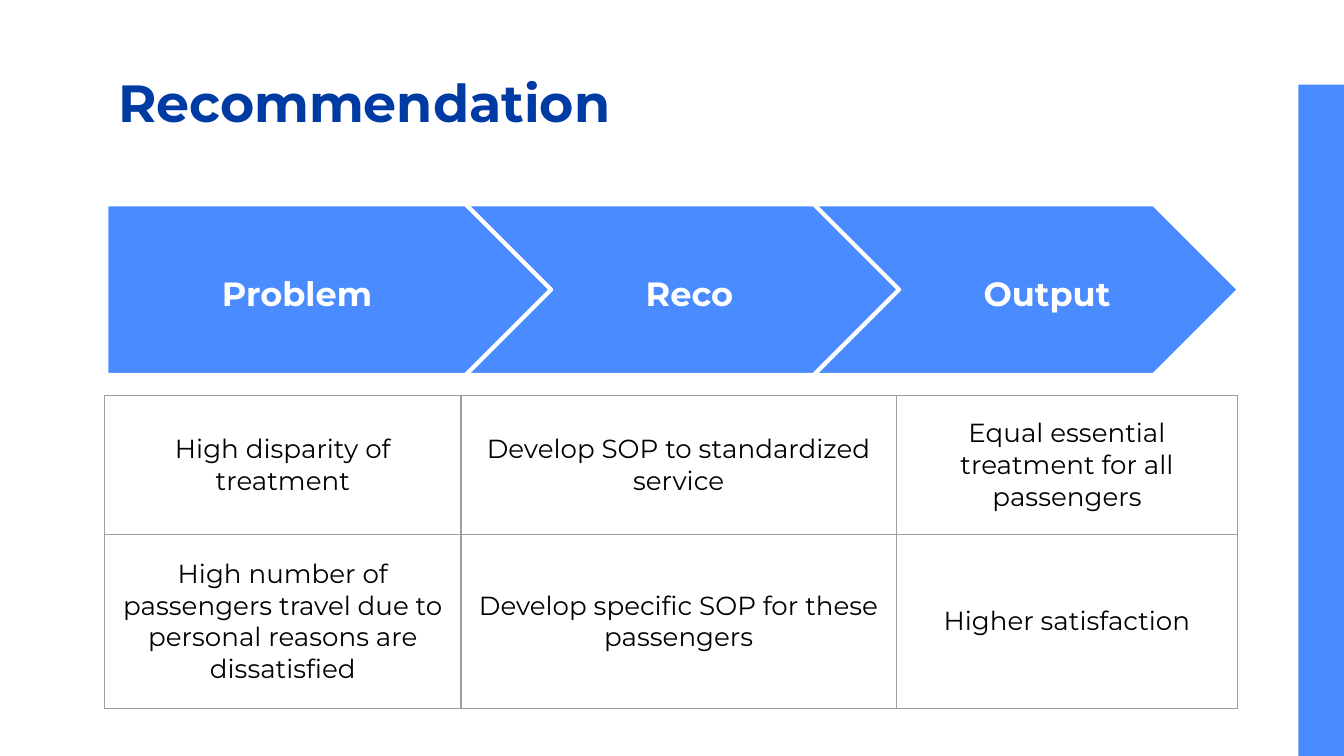
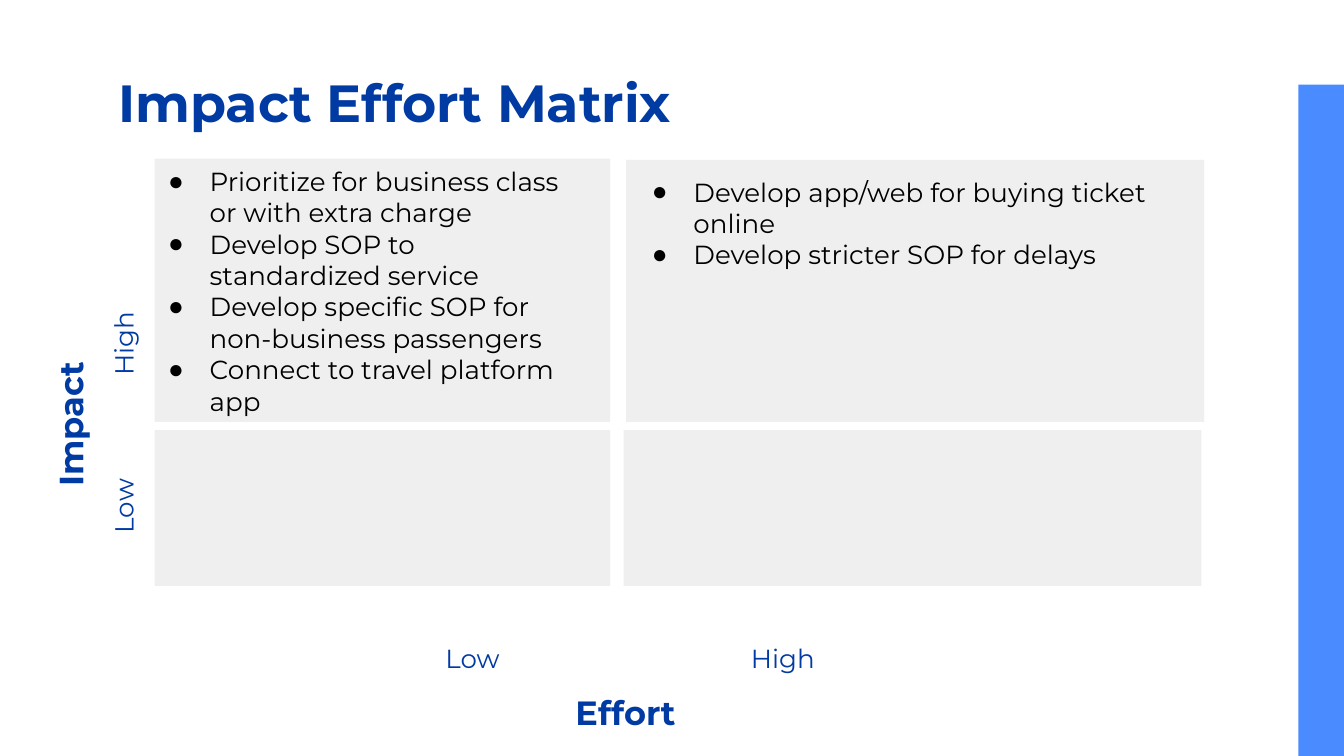
from dataclasses import dataclass
from lxml.etree import SubElement as Sub
from pptx import Presentation
from pptx.dml.color import RGBColor as Rgb
from pptx.enum.shapes import MSO_SHAPE as Form
from pptx.enum.text import MSO_ANCHOR as Anchor, MSO_AUTO_SIZE as Fit, PP_ALIGN as Align
from pptx.oxml import parse_xml
from pptx.oxml.ns import nsdecls, qn
from pptx.util import Inches, Pt


@dataclass(frozen=True)
class Theme:
    font: str = "Montserrat"
    navy: str = "003BA3"
    blue: str = "4A8CFF"
    white: str = "FFFFFF"
    black: str = "000000"
    pale: str = "EFEFEF"
    gray: str = "9E9E9E"
    title: int = 28
    head: int = 18
    text: int = 14
    gap: int = 16
    edge: float = 2.25
    rule: float = 0.75


look = Theme()
deck = Presentation()
deck.slide_width, deck.slide_height = Inches(10), Inches(5.625)
unit = deck.slide_width / 100


def write(item, box, lines, size, ink, bold=False, align=Align.CENTER, after=0, turn=0, dots=False):
    frame = item.text_frame
    if box:
        item.left, item.top, item.width, item.height = [round(unit * n) for n in box]
        item.rotation = turn
        frame.word_wrap, frame.auto_size = True, Fit.NONE
        frame.vertical_anchor = Anchor.TOP
        frame.margin_left = frame.margin_right = round(unit)
        frame.margin_top = frame.margin_bottom = round(unit)
    for spot, line in enumerate(lines):
        para = frame.add_paragraph() if spot else frame.paragraphs[0]
        para.alignment = align
        para.space_before, para.space_after = Pt(0), Pt(after)
        if dots:
            prop = para._p.get_or_add_pPr()
            prop.set("marL", str(round(unit * 3.1)))
            prop.set("indent", str(round(unit * -3.1)))
            Sub(Sub(prop, qn("a:buClr")), qn("a:srgbClr"), val=ink)
            Sub(prop, qn("a:buChar"), char="●")
        run = para.add_run()
        run.text = line
        font = run.font
        font.name, font.size, font.bold = look.font, Pt(size), bold
        font.color.rgb = Rgb.from_string(ink)


def block(page, form, box, fill, edge=None):
    item = page.shapes.add_shape(form, *[round(unit * n) for n in box])
    item.shadow.inherit = False
    item.fill.solid()
    item.fill.fore_color.rgb = Rgb.from_string(fill)
    if edge:
        item.line.color.rgb = Rgb.from_string(edge)
        item.line.width = Pt(look.edge)
    else:
        item.line.fill.background()
    return item


pages = []
for name, kind in (("Recommendation", 5), ("Impact Effort Matrix", 3)):
    page = deck.slides.add_slide(deck.slide_layouts[kind])
    write(page.shapes.title, (7.8, 4.2, 84.3, 7.1), [name], look.title, look.navy, True, Align.LEFT)
    pages.append(page)
plan, chart = pages

band = block(plan, Form.RECTANGLE, (73.3, 29.6, 50, 3.4), look.blue)
band.rotation = 90
deck.slide_master.shapes.element.insert(2, band.element)

steps = (("Problem", 7.9, 12.6), ("Reco", 33.8, 41.8), ("Output", 59.1, 68.4))
for name, left, mid in reversed(steps):
    block(plan, Form.PENTAGON, (left, 15.2, 33.1, 12.7), look.blue, look.white)
for name, left, mid in steps:
    label = plan.shapes.add_textbox(0, 0, 0, 0)
    write(label, (mid, 19.3, 19, 5), [name], look.head, look.white, True, after=look.gap)

rows = (
    (("High disparity of treatment", look.gap),
     ("Develop SOP to standardized service", look.gap),
     ("Equal essential treatment for all passengers", look.gap)),
    (("High number of passengers travel due to personal reasons are dissatisfied", look.gap),
     ("Develop specific SOP for these passengers", 0),
     ("Higher satisfaction", 0)),
)
place = [round(unit * n) for n in (7.8, 29.4, 84.3, 23.3)]
table = plan.shapes.add_table(2, 3, *place).table
table.first_row = table.horz_banding = False
for col, wide in zip(table.columns, (26.5, 32.4, 25.4)):
    col.width = round(unit * wide)
for row, tall in zip(table.rows, (10.4, 12.9)):
    row.height = round(unit * tall)
for y, row in enumerate(rows):
    for x, (words, after) in enumerate(row):
        cell = table.cell(y, x)
        cell.vertical_anchor = Anchor.MIDDLE
        cell.fill.background()
        write(cell, None, [words], look.text, look.black, after=after)
        prop = cell._tc.get_or_add_tcPr()
        for spot, side in enumerate("LRTB"):
            prop.insert(spot, parse_xml(
                f'<a:ln{side} {nsdecls("a")} w="{Pt(look.rule)}"><a:solidFill>'
                f'<a:srgbClr val="{look.gray}"/></a:solidFill></a:ln{side}>'))

for box in ((11.5, 11.8, 33.9, 19.6), (46.6, 11.9, 43, 19.5),
            (11.5, 32, 33.9, 11.6), (46.4, 32, 43, 11.6)):
    block(chart, Form.RECTANGLE, box, look.pale)

ideas = (
    ((11.5, 11.3, 32.7, 20.1),
     ("Prioritize for business class or with extra charge",
      "Develop SOP to standardized service",
      "Develop specific SOP for non-business passengers",
      "Connect to travel platform app")),
    ((47.5, 12.1, 42.5, 19.9),
     ("Develop app/web for buying ticket online",
      "Develop stricter SOP for delays")),
)
for spot, (box, lines) in enumerate(ideas, 1):
    body = chart.placeholders[spot]
    write(body, box, lines, look.text, look.black, align=Align.LEFT, dots=True)
    chart.shapes.element.append(body.element)

axes = (
    ("Effort", (31.9, 50.5, 29.3, 4.5), 0, True, Align.CENTER),
    ("Impact", (-3.3, 26.7, 16.5, 4.5), 270, True, Align.LEFT),
    ("High", (50, 46.8, 16.5, 3.7), 0, False, Align.CENTER),
    ("Low", (26.9, 46.8, 16.5, 3.7), 0, False, Align.CENTER),
    ("High", (0.6, 23.7, 16.5, 3.7), 270, False, Align.CENTER),
    ("Low", (0.6, 35.8, 16.5, 3.7), 270, False, Align.CENTER),
)
for name, box, turn, bold, align in axes:
    label = chart.shapes.add_textbox(0, 0, 0, 0)
    size = look.head if bold else look.text
    write(label, box, [name], size, look.navy, bold, align, look.gap, turn)

deck.save("out.pptx")
